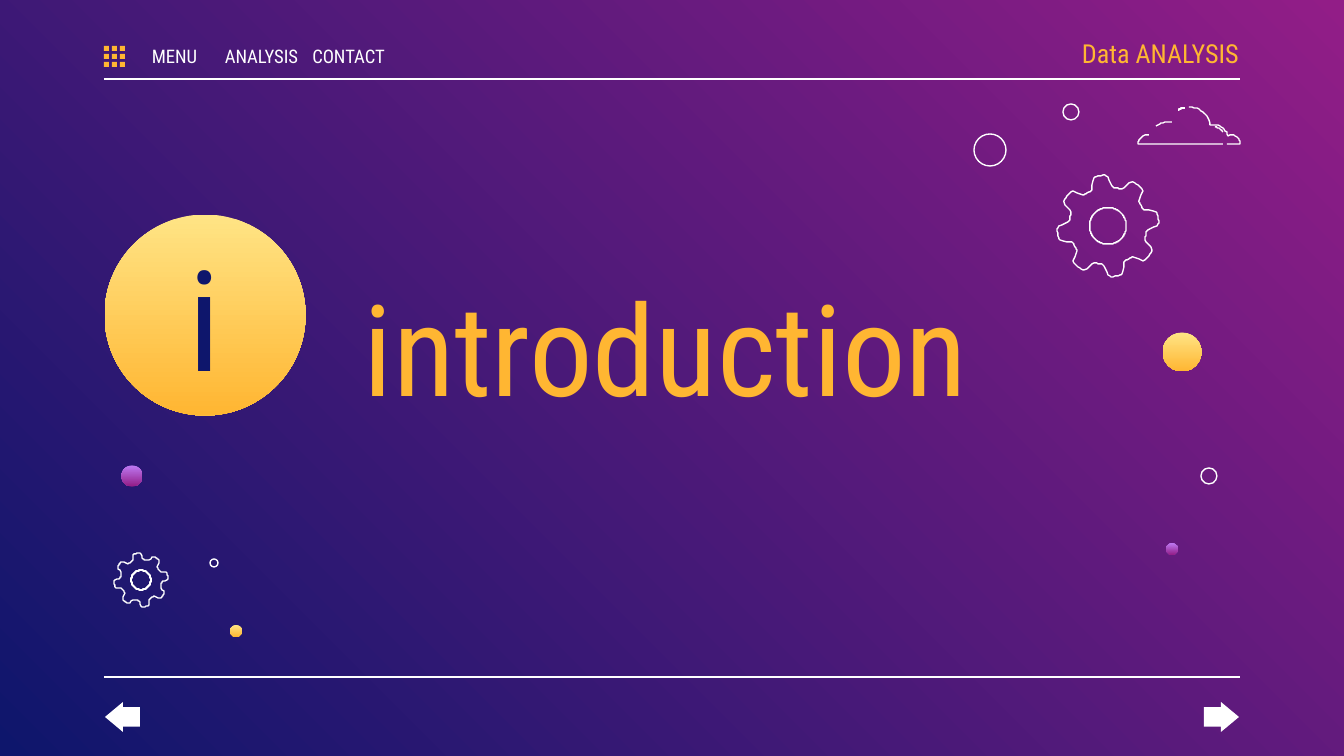
from math import cos, pi, radians, sin, tanh

from lxml.etree import SubElement
from pptx import Presentation
from pptx.dml.color import RGBColor
from pptx.enum.shapes import MSO_CONNECTOR, MSO_SHAPE
from pptx.enum.text import MSO_ANCHOR, PP_ALIGN
from pptx.oxml.ns import qn
from pptx.util import Pt

PX = 914400 / 134.4  # EMU in one px
W, H = 1344, 756
LEFT, RIGHT = 104, 1240
FONT = "Roboto Condensed"
COLORS = {"white": "FFFFFF", "gold": "FFB632", "cream": "FFE485",
          "lilac": "BE7AF3", "magenta": "921D87", "navy": "0E166C"}
GOLD = ("cream", "gold")
PURPLE = ("lilac", "magenta")


def emu(*lengths):
    return [round(v * PX) for v in lengths]


def rgb(name):
    return RGBColor.from_string(COLORS[name])


def gradient(fill, names, angle):
    fill.gradient()
    fill.gradient_angle = angle
    for stop, name in zip(fill.gradient_stops, names):
        stop.color.rgb = rgb(name)


def outline(sp):
    sp.shadow.inherit = False
    sp.fill.background()
    sp.line.color.rgb = rgb("white")
    sp.line.width = Pt(0.75)


def add_solid(s, kind, box, color):
    sp = s.shapes.add_shape(kind, *emu(*box))
    sp.shadow.inherit = False
    sp.fill.solid()
    sp.fill.fore_color.rgb = rgb(color)
    sp.line.fill.background()
    return sp


def add_circle(s, cx, cy, d, names=None):
    """Gradient ball when two colours are named, white ring otherwise."""
    sp = s.shapes.add_shape(MSO_SHAPE.OVAL, *emu(cx - d / 2, cy - d / 2, d, d))
    outline(sp)
    if names:
        gradient(sp.fill, names, 270)
        sp.line.fill.background()


def add_rule(s, y):
    sp = s.shapes.add_connector(MSO_CONNECTOR.STRAIGHT, *emu(LEFT, y, RIGHT, y))
    sp.line.color.rgb = rgb("white")
    sp.line.width = Pt(0.75)
    SubElement(sp._element.spPr, qn("a:effectLst"))


def add_text(s, box, text, size, color, align=PP_ALIGN.CENTER, left=0, right=0):
    tf = s.shapes.add_textbox(*emu(*box)).text_frame
    tf.word_wrap = True
    tf.vertical_anchor = MSO_ANCHOR.MIDDLE
    tf.margin_left, tf.margin_right = emu(left, right)
    tf.margin_top, tf.margin_bottom = emu(13, 13)
    p = tf.paragraphs[0]
    p.text = text
    p.alignment = align
    p.font.name = FONT
    p.font.size = Pt(size)
    p.font.color.rgb = rgb(color)


def add_outline(s, contours, close):
    """One white-lined freeform made of several contours."""
    fb = s.shapes.build_freeform(*contours[0][0], scale=PX)
    for i, points in enumerate(contours):
        if i:
            fb.move_to(*points[0])
        fb.add_line_segments(points[1:], close=close)
    outline(fb.convert_to_shape())


def add_gear(s, cx, cy, radius):
    teeth, steps, tilt = 8, 192, radians(99)
    rim, hole = [], []
    for i in range(steps):
        a = 2 * pi * i / steps
        wave = tanh(2.5 * cos(teeth * (a + tilt)))
        for ring, r in ((rim, radius * (0.88 + 0.12 * wave)), (hole, radius * 0.36)):
            ring.append((cx + r * cos(a), cy + r * sin(a)))
    add_outline(s, [rim, hole], close=True)


def bezier(points, steps=12):
    """Sample a chain of cubic curves: a start, then three points per curve."""
    result = [points[0]]
    for k in range(0, len(points) - 1, 3):
        for i in range(1, steps + 1):
            t = i / steps
            weights = ((1 - t) ** 3, 3 * t * (1 - t) ** 2, 3 * t * t * (1 - t), t ** 3)
            result.append(tuple(sum(w * p[axis] for w, p in zip(weights, points[k:k + 4]))
                                for axis in (0, 1)))
    return result


def add_cloud(s, x, y):
    curves = [
        [(51, 0), (62, 0), (71, 8), (72, 18), (80, 16), (88, 21), (90, 29),
         (96, 26), (103, 31), (102, 37), (89, 37), (89, 37), (89, 37)],
        [(47, 1), (47, 1), (42, 1), (40, 3)],
        [(85, 37), (85, 37), (0, 37), (0, 37), (0, 37), (1, 27), (11, 28)],
        [(77, 20), (77, 20), (83, 21), (85, 25)],
        [(34, 15), (34, 15), (25, 14), (18, 19)],
    ]
    add_outline(s, [bezier([(x + px, y + py) for px, py in c]) for c in curves], close=False)


def add_header(s, x, y, w):
    # Grid icon
    for col in range(3):
        for row in range(3):
            add_solid(s, MSO_SHAPE.RECTANGLE, (x + 8 * col, y + 8 * row, 5, 5), "gold")
    # Menu and deck name
    for i, label in enumerate(("MENU", "ANALYSIS", "CONTACT")):
        add_text(s, (x + 32 + 87 * i, y - 5, 77, 31), label, 10, "white")
    add_text(s, (x + w - 202, y - 15, 201, 44), "Data ANALYSIS", 14, "gold",
             PP_ALIGN.RIGHT, left=13)
    add_rule(s, y + 33)


def add_title(s, x, y):
    add_circle(s, x + 101, y + 100, 201, GOLD)
    add_text(s, (x, y + 45, 202, 111), "i", 75, "navy", left=13, right=13)
    add_text(s, (x + 247, y + 56, 653, 150), "introduction", 68, "gold",
             PP_ALIGN.LEFT, left=13, right=13)


def add_decor(s):
    # Balls, then rings
    for cx, cy, d, names in ((1182, 352, 39, GOLD), (236, 631, 12, GOLD),
                             (132, 476, 21, PURPLE), (1172, 549, 12, PURPLE)):
        add_circle(s, cx, cy, d, names)
    for cx, cy, d in ((1071, 112, 16), (1209, 476, 16), (990, 150, 32), (214, 563, 8)):
        add_circle(s, cx, cy, d)
    add_cloud(s, 1138, 107)
    add_gear(s, 1108, 226, 51)
    add_gear(s, 141, 580, 27)


def add_footer(s, y):
    add_rule(s, y)
    for kind, x in ((MSO_SHAPE.LEFT_ARROW, LEFT + 1), (MSO_SHAPE.RIGHT_ARROW, RIGHT - 36)):
        sp = add_solid(s, kind, (x, y + 25, 35, 30), "white")
        sp.adjustments[0] = 0.65
        sp.adjustments[1] = 0.6


def main():
    prs = Presentation()
    prs.slide_width, prs.slide_height = emu(W, H)
    s = prs.slides.add_slide(prs.slide_layouts[6])
    gradient(s.background.fill, ("magenta", "navy"), 225)
    add_header(s, LEFT, 46, RIGHT - LEFT)
    add_title(s, LEFT, 215)
    add_decor(s)
    add_footer(s, 677)
    prs.save("out.pptx")


if __name__ == "__main__":
    main()
